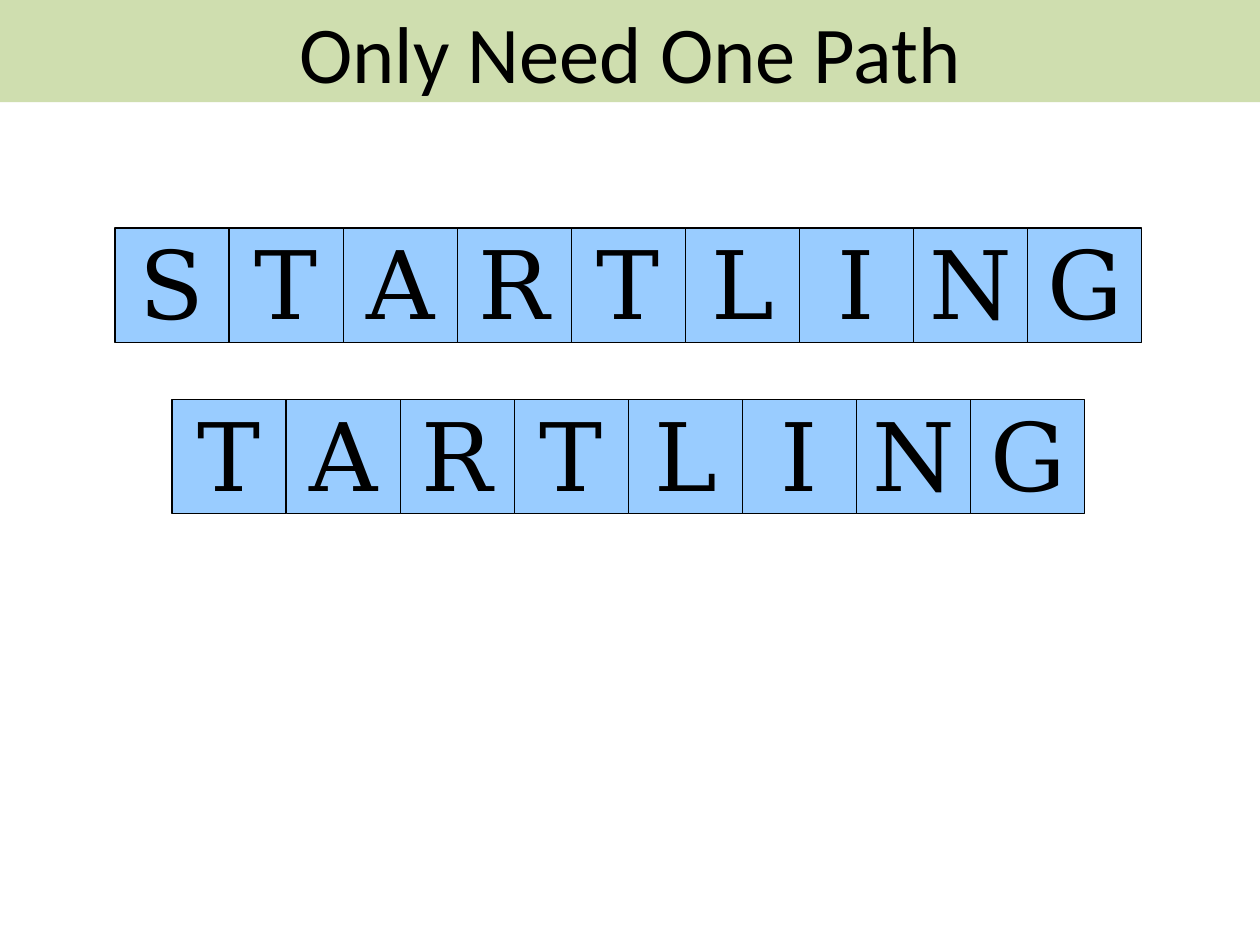
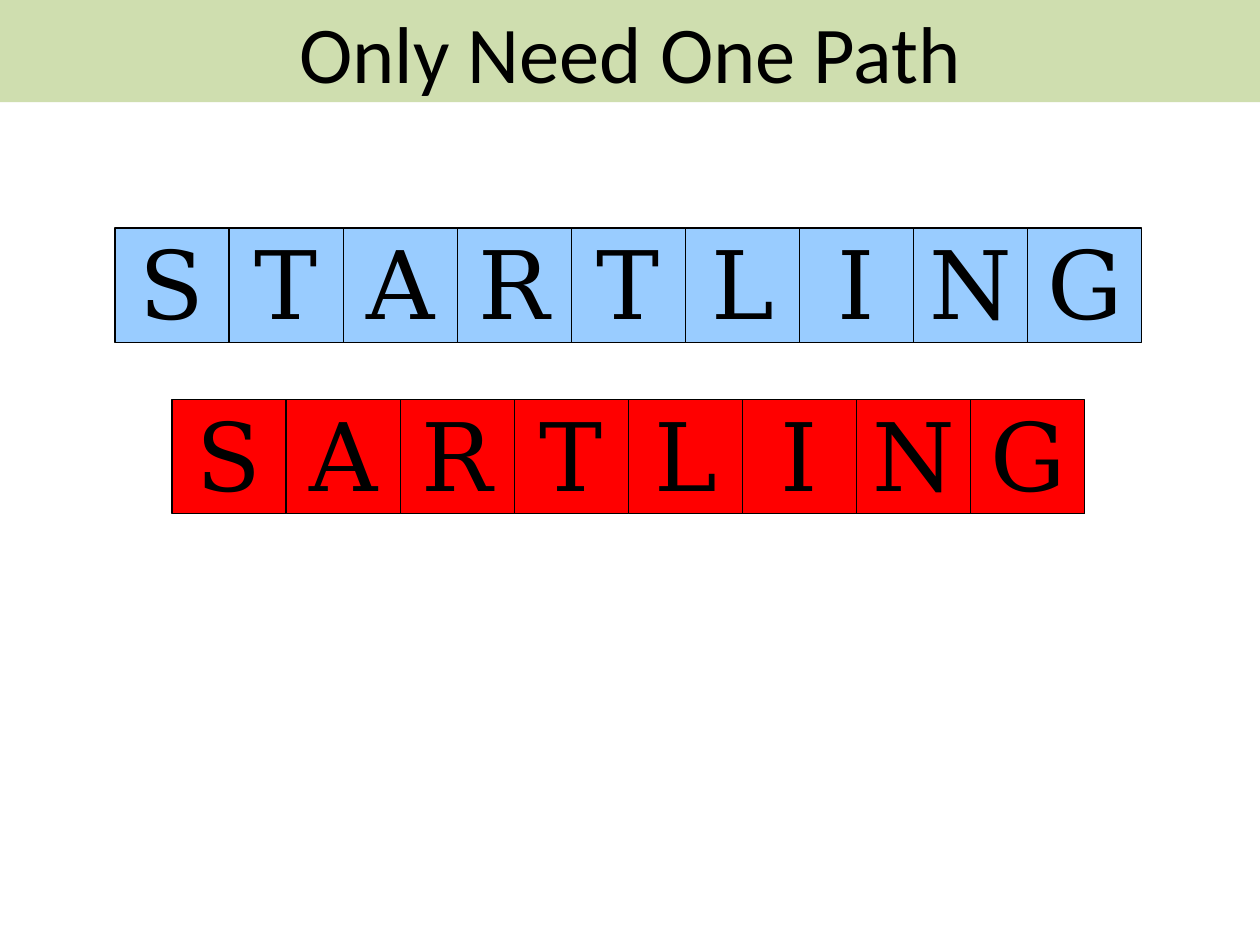
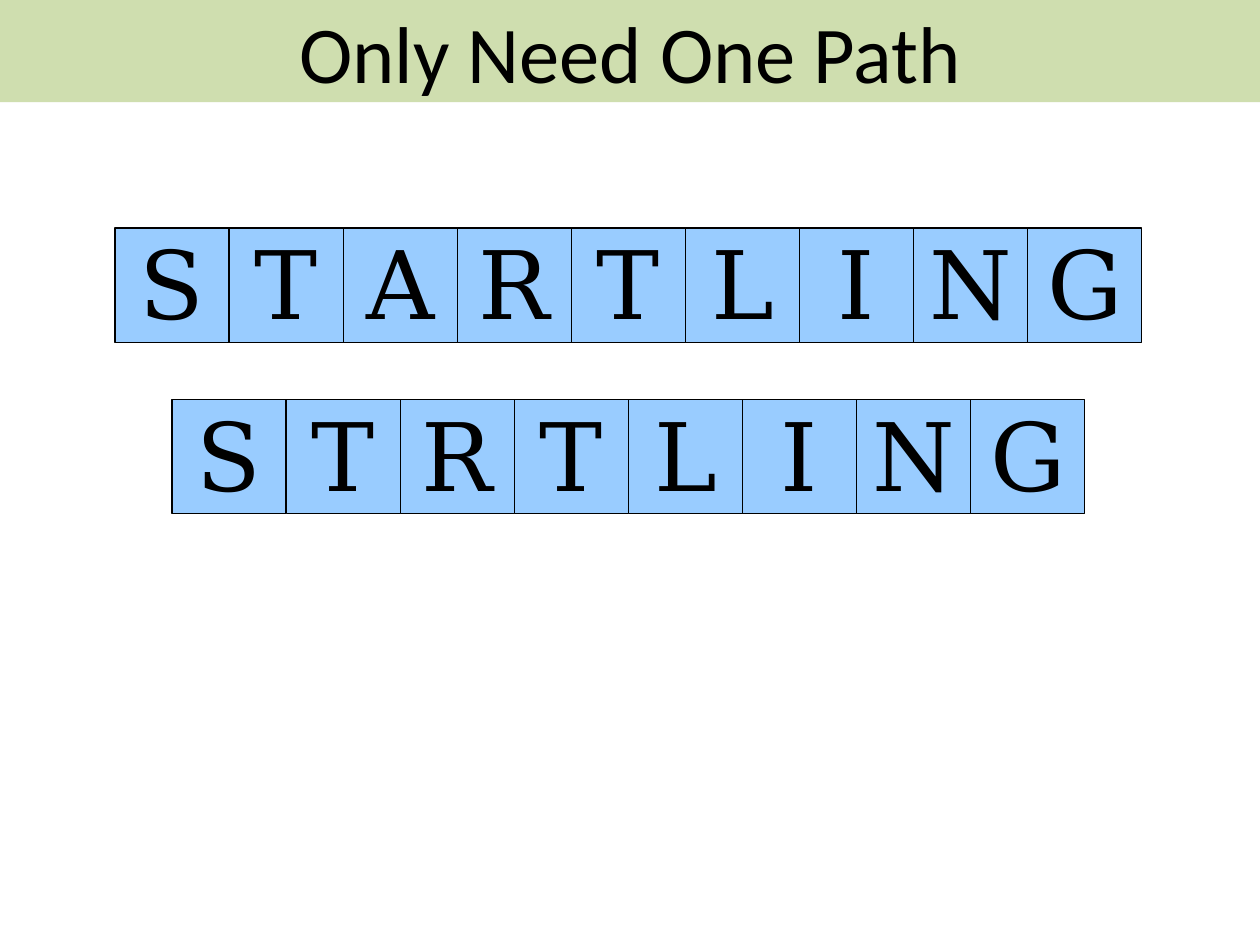
from dataclasses import dataclass

from lxml import etree
from pptx import Presentation
from pptx.dml.color import RGBColor
from pptx.enum.shapes import MSO_SHAPE
from pptx.enum.text import MSO_ANCHOR, MSO_AUTO_SIZE, PP_ALIGN
from pptx.oxml.ns import qn
from pptx.util import Cm, Pt

RECTANGLE = MSO_SHAPE.RECTANGLE
MIDDLE = MSO_ANCHOR.MIDDLE
NO_AUTOFIT = MSO_AUTO_SIZE.NONE
CENTER = PP_ALIGN.CENTER
TITLE_ONLY = 5


@dataclass(frozen=True)
class Theme:
    ink: RGBColor = RGBColor(0x00, 0x00, 0x00)
    band: RGBColor = RGBColor(0xC3, 0xD6, 0x9B)
    band_opacity: int = 80
    word_tile: RGBColor = RGBColor(0x99, 0xCC, 0xFF)
    rejected_tile: RGBColor = RGBColor(0xFF, 0x00, 0x00)
    title_font: str = "Calibri"
    title_size: Pt = Pt(46)
    letter_font: str = "DejaVu Serif"
    letter_size: Pt = Pt(54)
    outline: Pt = Pt(0.75)


THEME = Theme()

PAGE_WIDTH = Cm(25.4)
PAGE_HEIGHT = Cm(19.05)
BAND_HEIGHT = Cm(2.06)
TILE = Cm(2.3)
ROW_CENTER = Cm(12.67)
START_ROW_TOP = Cm(4.6)
NEXT_ROW_TOP = Cm(8.06)

TITLE = "Only Need One Path"
START_WORD = "STARTLING"
NEXT_WORDS = [
    ("TARTLING", THEME.word_tile),
    ("SARTLING", THEME.rejected_tile),
    ("STRTLING", THEME.word_tile),
]


def format_para(para, font_name, size):
    para.alignment = CENTER
    para.font.name = font_name
    para.font.size = size
    para.font.color.rgb = THEME.ink


def add_title_band(page, text):
    """Turn the title placeholder into a translucent band across the page top."""
    title = page.shapes.title
    title.left, title.top = 0, 0
    title.width, title.height = PAGE_WIDTH, BAND_HEIGHT
    title.fill.solid()
    title.fill.fore_color.rgb = THEME.band
    color = title.element.spPr.find(f".//{qn('a:srgbClr')}")
    etree.SubElement(color, qn("a:alpha"), val=str(THEME.band_opacity * 1000))
    frame = title.text_frame
    frame.text = text
    frame.auto_size = NO_AUTOFIT
    frame.vertical_anchor = MIDDLE
    format_para(frame.paragraphs[0], THEME.title_font, THEME.title_size)


def add_letter_tile(page, letter, left, top, color):
    tile = page.shapes.add_shape(RECTANGLE, left, top, TILE, TILE)
    tile.shadow.inherit = False
    tile.fill.solid()
    tile.fill.fore_color.rgb = color
    tile.line.color.rgb = THEME.ink
    tile.line.width = THEME.outline
    frame = tile.text_frame
    frame.text = letter
    frame.word_wrap = False
    frame.vertical_anchor = MIDDLE
    frame.margin_left = frame.margin_right = Cm(0.23)
    frame.margin_top, frame.margin_bottom = Cm(0.15), Cm(0.1)
    para = frame.paragraphs[0]
    para.line_spacing = 0.98
    format_para(para, THEME.letter_font, THEME.letter_size)


def add_word(page, word, top, color):
    """Lay out a word as touching letter tiles, centred on the row axis."""
    left = ROW_CENTER - len(word) * TILE // 2
    for index, letter in enumerate(word):
        add_letter_tile(page, letter, left + index * TILE, top, color)


def main():
    deck = Presentation()
    deck.slide_width, deck.slide_height = PAGE_WIDTH, PAGE_HEIGHT
    for next_word, color in NEXT_WORDS:
        page = deck.slides.add_slide(deck.slide_layouts[TITLE_ONLY])
        add_title_band(page, TITLE)
        add_word(page, START_WORD, START_ROW_TOP, THEME.word_tile)
        add_word(page, next_word, NEXT_ROW_TOP, color)
    deck.save("out.pptx")


if __name__ == "__main__":
    main()
